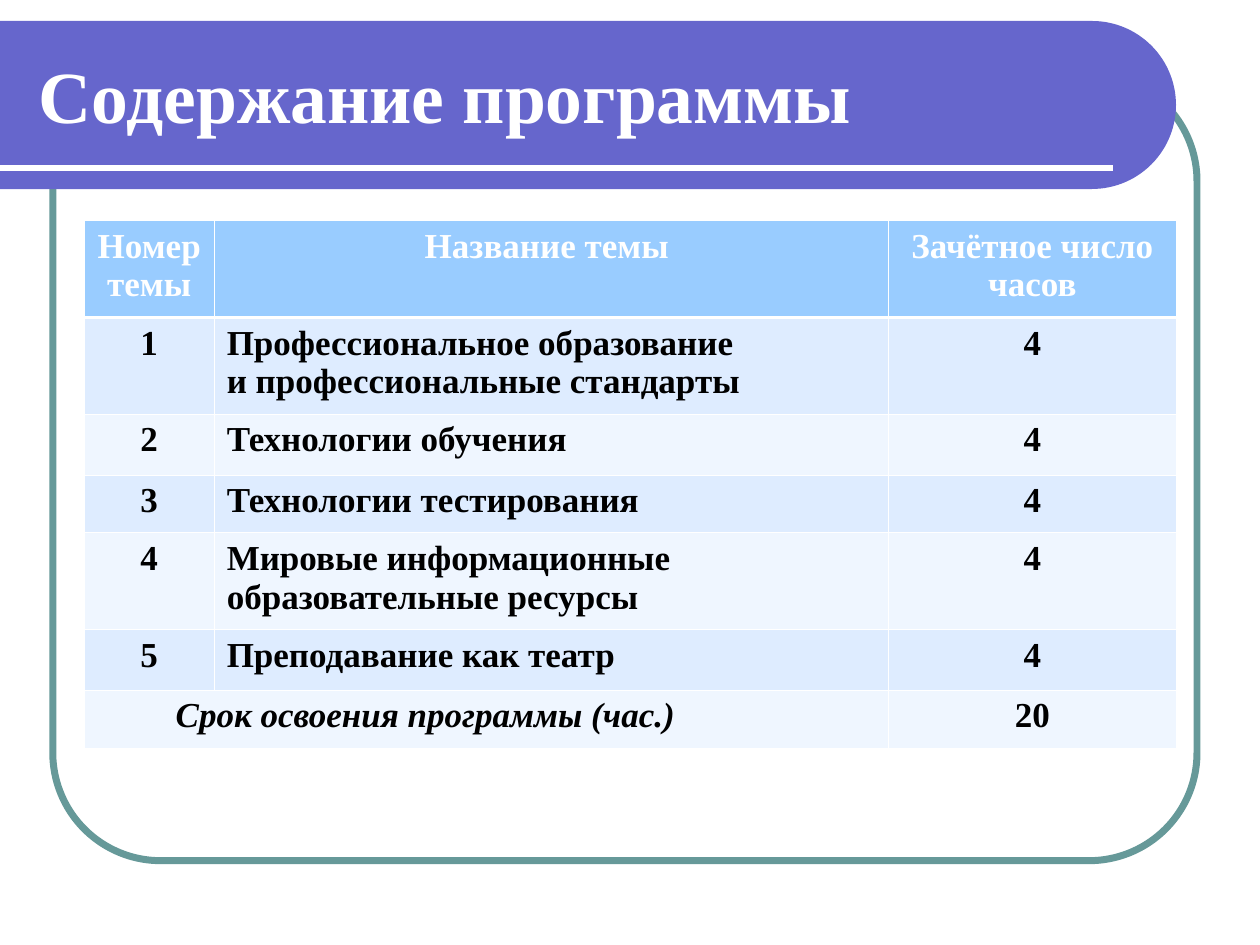
import math

from lxml import etree
from pptx import Presentation
from pptx.dml.color import RGBColor
from pptx.enum.shapes import MSO_CONNECTOR, MSO_SHAPE
from pptx.enum.text import MSO_ANCHOR, PP_ALIGN
from pptx.oxml.ns import qn
from pptx.util import Pt

TITLE = "Содержание программы"
HEADER = ("Номер темы", "Название темы ", "Зачётное число часов")
TOPICS = [
    ("1", "Профессиональное образование\nи профессиональные стандарты", "4"),
    ("2", "Технологии обучения", "4"),
    ("3", "Технологии тестирования", "4"),
    ("4", "Мировые информационные образовательные ресурсы", "4"),
    ("5", "Преподавание как театр", "4"),
]
TOTAL = ("Срок освоения программы (час.)", "", "20")
COLUMN_WIDTHS = (74.2, 385.2, 164.8)
ROW_HEIGHTS = (55.4, 55.4, 34.6, 33.1, 55.4, 34.6, 33.1)
TOTAL_INDENT = 45
CELL_INSET = 7.2
THIN, THICK = 0.45, 1.47

FONT = "Times New Roman"
WHITE = RGBColor(0xFF, 0xFF, 0xFF)
BLACK = RGBColor(0, 0, 0)
TEAL = RGBColor(0x66, 0x99, 0x99)
VIOLET = RGBColor(0x66, 0x66, 0xCC)
HEADER_BLUE = RGBColor(0x99, 0xCC, 0xFF)
BANDS = (RGBColor(0xEF, 0xF6, 0xFF), RGBColor(0xDE, 0xEC, 0xFF))

ROUNDED = MSO_SHAPE.ROUNDED_RECTANGLE
STRAIGHT = MSO_CONNECTOR.STRAIGHT
MIDDLE = MSO_ANCHOR.MIDDLE
LEFT, CENTER = PP_ALIGN.LEFT, PP_ALIGN.CENTER


def add_text(paragraph, text, size, color, align=LEFT, italic=False):
    paragraph.alignment = align
    run = paragraph.add_run()
    run.text = text
    run.font.name = FONT
    run.font.size = Pt(size)
    run.font.bold = True
    run.font.italic = italic
    run.font.color.rgb = color


def add_borders(cell, top, bottom):
    properties = cell._tc.get_or_add_tcPr()
    for side, width in (("L", THIN), ("R", THIN), ("T", top), ("B", bottom)):
        border = etree.SubElement(properties, qn(f"a:ln{side}"), w=str(int(Pt(width))))
        fill = etree.SubElement(border, qn("a:solidFill"))
        etree.SubElement(fill, qn("a:srgbClr"), val=str(WHITE))


def add_frame(slide):
    frame = slide.shapes.add_shape(ROUNDED, Pt(30.2), Pt(41.8), Pt(653.8), Pt(450))
    frame.adjustments[0] = 0.137
    frame.shadow.inherit = False
    frame.fill.background()
    frame.line.color.rgb = TEAL
    frame.line.width = Pt(4)


def add_banner(slide):
    top, radius, center_x = 12, 48, 624
    angles = [math.radians(degree) for degree in range(-90, 91, 3)]
    outline = [
        (Pt(center_x + radius * math.cos(a)), Pt(top + radius + radius * math.sin(a)))
        for a in angles
    ]
    builder = slide.shapes.build_freeform(0, Pt(top))
    builder.add_line_segments(outline + [(0, Pt(top + 2 * radius))], close=True)
    banner = builder.convert_to_shape()
    banner.shadow.inherit = False
    banner.fill.solid()
    banner.fill.fore_color.rgb = VIOLET
    banner.line.fill.background()

    underline = slide.shapes.add_connector(STRAIGHT, 0, Pt(96), Pt(636), Pt(96))
    underline.line.color.rgb = WHITE
    underline.line.width = Pt(3)
    etree.SubElement(underline._element.spPr, qn("a:effectLst"))

    title = slide.shapes.add_textbox(Pt(15.1), Pt(18), Pt(631.4), Pt(72)).text_frame
    title.word_wrap = True
    title.vertical_anchor = MIDDLE
    add_text(title.paragraphs[0], TITLE, 42, WHITE)


def add_program(slide):
    rows = [HEADER, *TOPICS, TOTAL]
    last = len(rows) - 1
    program = slide.shapes.add_table(
        len(rows), len(HEADER), Pt(48.2), Pt(126),
        Pt(sum(COLUMN_WIDTHS)), Pt(sum(ROW_HEIGHTS)),
    ).table
    for column, width in zip(program.columns, COLUMN_WIDTHS):
        column.width = Pt(width)
    for row, height in zip(program.rows, ROW_HEIGHTS):
        row.height = Pt(height)
    program.cell(last, 0).merge(program.cell(last, 1))

    for r, texts in enumerate(rows):
        for c, text in enumerate(texts):
            cell = program.cell(r, c)
            add_borders(cell, THICK if r == 1 else THIN, THICK if r == 0 else THIN)
            cell.fill.solid()
            cell.fill.fore_color.rgb = BANDS[r % 2] if r else HEADER_BLUE
            if not text:
                continue
            is_total = r == last and c == 0
            if is_total:
                cell.margin_left = Pt(CELL_INSET + TOTAL_INDENT)
            align = LEFT if is_total or (r and c == 1) else CENTER
            for i, line in enumerate(text.split("\n")):
                frame = cell.text_frame
                paragraph = frame.add_paragraph() if i else frame.paragraphs[0]
                add_text(paragraph, line, 20, BLACK if r else WHITE, align, is_total)


def main():
    presentation = Presentation()
    presentation.slide_width, presentation.slide_height = Pt(720), Pt(540)
    slide = presentation.slides.add_slide(presentation.slide_layouts[6])
    add_frame(slide)
    add_banner(slide)
    add_program(slide)
    presentation.save("out.pptx")


if __name__ == "__main__":
    main()
